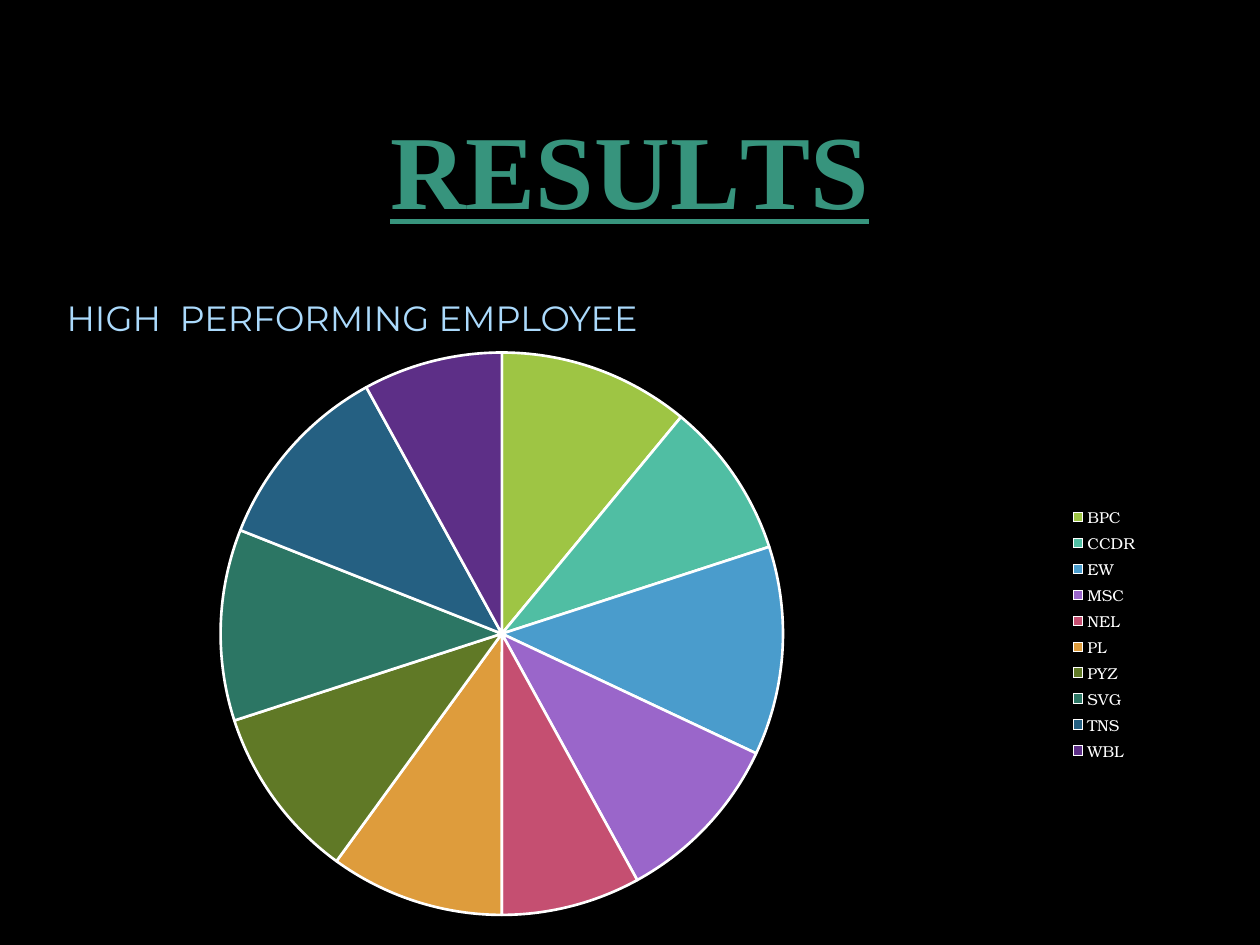
from pptx import Presentation
from pptx.chart.data import CategoryChartData
from pptx.dml.color import RGBColor
from pptx.enum.chart import XL_CHART_TYPE as ChartType, XL_LEGEND_POSITION as LegendPosition
from pptx.enum.text import MSO_ANCHOR as Anchor, PP_ALIGN as Align
from pptx.util import Inches, Pt

COLOURS = {"background": "000000", "title": "37947D", "subtitle": "ABDAFC", "white": "FFFFFF"}

# Category, share and slice colour
SLICES = [
    ("BPC", 11, "9EC544"),
    ("CCDR", 9, "50BEA3"),
    ("EW", 12, "4A9CCC"),
    ("MSC", 10, "9A66CA"),
    ("NEL", 8, "C54F71"),
    ("PL", 10, "DE9C3C"),
    ("PYZ", 10, "607926"),
    ("SVG", 11, "2C7664"),
    ("TNS", 11, "256082"),
    ("WBL", 8, "5D2F87"),
]

# Title pieces with their letter spacing in points
TITLE_PIECES = [("R", 0), ("E", -0.4), ("S", 0.1), ("U", -0.3), ("L", -4), ("TS", 0)]


def style_font(font, name, size, colour):
    font.name = name
    font.size = Pt(size)
    font.color.rgb = RGBColor.from_string(colour)


def add_text_frame(page, box):
    frame = page.shapes.add_textbox(*map(Inches, box)).text_frame
    frame.word_wrap = True
    return frame


def add_title(page, box):
    frame = add_text_frame(page, box)
    frame.vertical_anchor = Anchor.MIDDLE
    para = frame.paragraphs[0]
    para.alignment = Align.CENTER
    para.line_spacing = 0.9
    for text, spacing in TITLE_PIECES:
        span = para.add_run()
        span.text = text
        style_font(span.font, "Times New Roman", 60, COLOURS["title"])
        span.font.bold = True
        span.font.underline = True
        span.font._element.set("spc", str(round(spacing * 100)))


def add_subtitle(page, box):
    para = add_text_frame(page, box).paragraphs[0]
    para.line_spacing = 1.2
    para.space_before = Pt(10)
    span = para.add_run()
    span.text = "HIGH  PERFORMING EMPLOYEE"
    style_font(span.font, "Montserrat", 20, COLOURS["subtitle"])


def add_pie(page, box):
    data = CategoryChartData()
    data.categories = [name for name, _, _ in SLICES]
    data.add_series("Series 1", [value for _, value, _ in SLICES])
    chart = page.shapes.add_chart(ChartType.PIE, *map(Inches, box), data).chart
    chart.has_title = False
    style_font(chart.font, "TeX Gyre Bonum", 10, COLOURS["white"])

    # Legend
    chart.has_legend = True
    chart.legend.position = LegendPosition.RIGHT
    chart.legend.include_in_layout = False
    style_font(chart.legend.font, "TeX Gyre Bonum", 9, COLOURS["white"])

    # Slices with white borders
    plot = chart.plots[0]
    plot.vary_by_categories = True
    for index, (_, _, colour) in enumerate(SLICES):
        piece = plot.series[0].points[index].format
        piece.fill.solid()
        piece.fill.fore_color.rgb = RGBColor.from_string(colour)
        piece.line.color.rgb = RGBColor.from_string(COLOURS["white"])
        piece.line.width = Pt(1.5)


def main():
    deck = Presentation()
    deck.slide_width, deck.slide_height = Inches(10), Inches(7.5)
    page = deck.slides.add_slide(deck.slide_layouts[6])
    page.background.fill.solid()
    page.background.fill.fore_color.rgb = RGBColor.from_string(COLOURS["background"])

    add_title(page, (0.75, 0.67, 8.49, 1.45))
    add_subtitle(page, (0.43, 2.24, 8.7, 0.83))
    add_pie(page, (-0.51, 2.66, 9.64, 4.74))
    deck.save("out.pptx")


if __name__ == "__main__":
    main()
